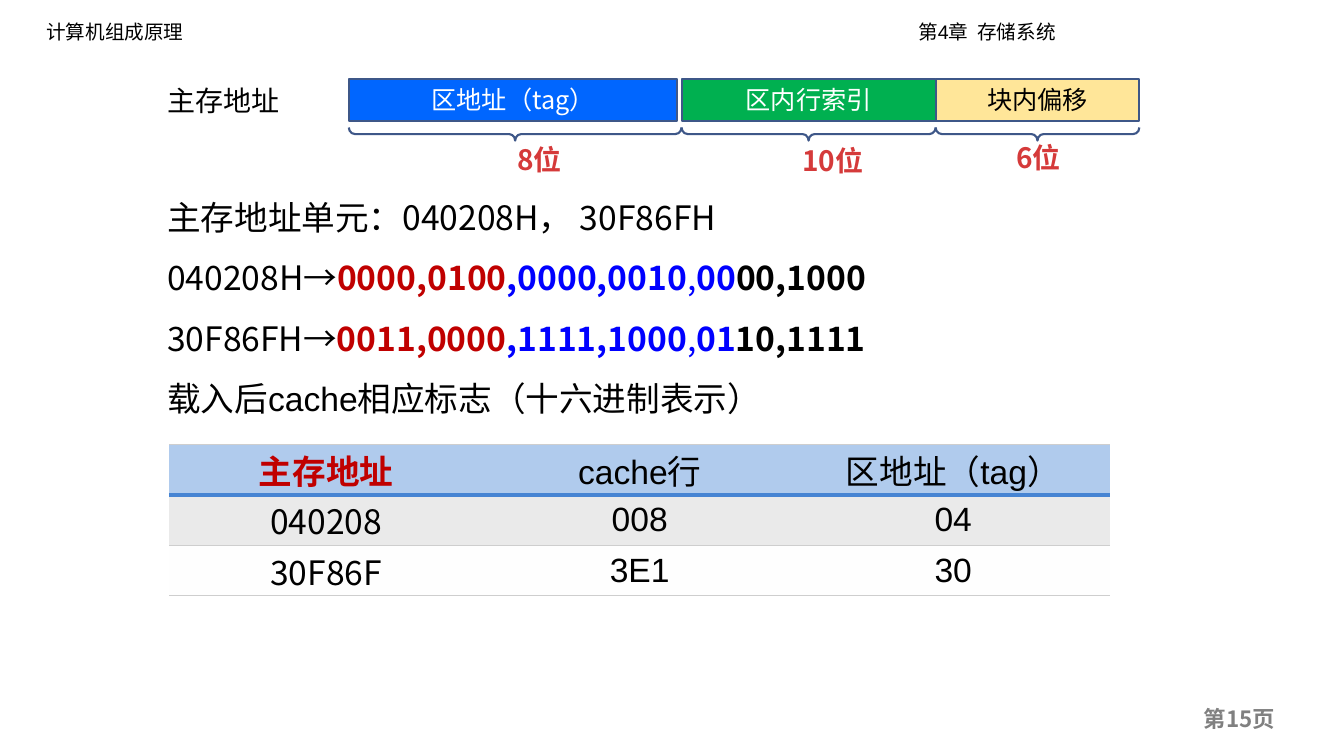
import pptx
import pptx.util
import pptx.dml.color
import pptx.enum.shapes
import pptx.enum.text
import pptx.oxml
import pptx.oxml.ns
import lxml.etree

Inches = pptx.util.Inches
Pt = pptx.util.Pt
SHAPE = pptx.enum.shapes.MSO_SHAPE
ALIGN = pptx.enum.text.PP_ALIGN
ANCHOR = pptx.enum.text.MSO_ANCHOR
qn = pptx.oxml.ns.qn

COLORS = {
    "black": "000000", "white": "FFFFFF", "gray": "808080",
    "blue": "0066FF", "green": "00B050", "cream": "FFE699",
    "outline": "3E5788", "bits": "D53A3A", "tag": "C00000", "index": "0000FF",
    "head": "B0CBED", "headline": "4684D3", "rule": "CECECE",
    "odd": "EAEAEA", "even": "FEFEFE",
}
SANS, ARIAL = "Noto Sans CJK SC", "Arial"
NO_STYLE = "{2D5ABB26-0587-4C30-8999-92F81FD0307C}"


def rgb(name):
    return pptx.dml.color.RGBColor.from_string(COLORS[name])


class SlideBuilder:
    def __init__(self, slide):
        self.s = slide
        self.base = {"name": SANS, "size": 24, "bold": False, "color": "black"}

    def run(self, p, text, **fmt):
        f = {**self.base, **fmt}
        r = p.add_run()
        r.text = text
        for key, value in {"name": f["name"], "size": Pt(f["size"]), "bold": f["bold"]}.items():
            setattr(r.font, key, value)
        r.font.color.rgb = rgb(f["color"])
        ea = lxml.etree.SubElement(r._r.get_or_add_rPr(), qn("a:ea"))
        ea.set("typeface", SANS)

    def fill_frame(self, tf, paragraphs, align=ALIGN.LEFT, anchor=ANCHOR.TOP, spacing=1.0):
        tf.word_wrap = True
        tf.vertical_anchor = anchor
        for i, runs in enumerate(paragraphs):
            p = tf.add_paragraph() if i else tf.paragraphs[0]
            p.alignment, p.line_spacing = align, spacing
            for text, fmt in runs:
                self.run(p, text, **fmt)

    def text(self, box, paragraphs, inset=True, **layout):
        sp = self.s.shapes.add_textbox(*map(Inches, box))
        if not inset:
            for side in ("left", "right", "top", "bottom"):
                setattr(sp.text_frame, "margin_" + side, 0)
        self.fill_frame(sp.text_frame, paragraphs, **layout)

    def shape(self, kind, box):
        sp = self.s.shapes.add_shape(kind, *map(Inches, box))
        sp.shadow.inherit = False
        sp.line.color.rgb = rgb("outline")
        sp.line.width = Pt(1.5)
        return sp

    def field(self, box, label, fill, color):
        sp = self.shape(SHAPE.RECTANGLE, box)
        sp.fill.solid()
        sp.fill.fore_color.rgb = rgb(fill)
        self.fill_frame(sp.text_frame, [[(label, {"size": 18, "color": color})]],
                        align=ALIGN.CENTER, anchor=ANCHOR.MIDDLE)

    def brace(self, center, middle, span, depth=0.13):
        sp = self.shape(SHAPE.LEFT_BRACE, (center - depth / 2, middle - span / 2, depth, span))
        sp.fill.background()
        sp.rotation = 270
        sp.adjustments[0] = 0.47

    def border(self, cell, side, color, width):
        ln = pptx.oxml.parse_xml(
            f'<a:{side} xmlns:a="http://schemas.openxmlformats.org/drawingml/2006/main" '
            f'w="{Pt(width)}"><a:solidFill><a:srgbClr val="{COLORS[color]}"/></a:solidFill></a:{side}>')
        tcPr = cell._tc.get_or_add_tcPr()
        tcPr.insert(len(tcPr.findall(qn("a:lnT"))), ln)

    def table(self, box, rows, fills, formats):
        frame = self.s.shapes.add_table(len(rows), len(rows[0]), *map(Inches, box))
        tbl = frame.table
        tbl.first_row = tbl.horz_banding = False
        tbl._tbl.tblPr.find(qn("a:tableStyleId")).text = NO_STYLE
        for i, row in enumerate(rows):
            for j, value in enumerate(row):
                cell = tbl.cell(i, j)
                cell.fill.solid()
                cell.fill.fore_color.rgb = rgb(fills[i])
                cell.margin_top = cell.margin_bottom = 0
                self.fill_frame(cell.text_frame, [[(value, formats(i, j))]], align=ALIGN.CENTER)
                cell.vertical_anchor = ANCHOR.MIDDLE
                bottom = ("rule", 1) if i else ("headline", 3)
                if i == 0:
                    self.border(cell, "lnT", "rule", 1)
                else:
                    self.border(cell, "lnT", *(("headline", 3) if i == 1 else ("rule", 1)))
                self.border(cell, "lnB", *bottom)


def address_line(address, tag, index, index_end, offset):
    blue = {"color": "index", "bold": True}
    return [(address + "→", {}), (tag, {"color": "tag", "bold": True}), (index, blue),
            (",", {"color": "index"}), (index_end, blue), (offset, {"bold": True})]


def cell_format(row, col):
    if (row, col) == (0, 0):
        return {"name": ARIAL, "color": "tag", "bold": True}
    return {"name": SANS if row and col == 0 else ARIAL}


def main():
    prs = pptx.Presentation()
    prs.slide_width, prs.slide_height = Inches(13.33), Inches(7.5)
    b = SlideBuilder(prs.slides.add_slide(prs.slide_layouts[6]))

    header = {"name": ARIAL, "size": 14}
    b.text((0.36, 0.15, 3, 0.4), [[("计算机组成原理", header)]])
    b.text((9.01, 0.15, 3, 0.4), [[("第4章  存储系统", header)]])
    b.text((11.84, 6.95, 1.2, 0.37), [[("第15页", {"size": 16, "bold": True, "color": "gray"})]])

    b.text((1.56, 0.78, 1.5, 0.44), [[("主存地址", {"size": 20})]])
    fields = [
        (3.46, 3.26, "区地址（tag）", "blue", "white", "8位", 5.35, 1.58),
        (6.76, 2.52, "区内行索引", "green", "white", "10位", 8.26, 1.59),
        (9.28, 2.02, "块内偏移", "cream", "black", "6位", 10.3, 1.56),
    ]
    for left, width, label, fill, color, bits, bits_x, bits_y in fields:
        b.field((left, 0.78, width, 0.42), label, fill, color)
        span = 3.3 if left == 3.46 else width
        b.brace(left + span / 2, 1.33, span)
        b.text((bits_x - 0.55, bits_y - 0.12, 1.1, 0.25),
               [[(bits, {"size": 20, "bold": True, "color": "bits"})]],
               inset=False, align=ALIGN.CENTER, anchor=ANCHOR.MIDDLE)

    b.text((1.56, 1.7, 9.95, 2.52), [
        [("主存地址单元：040208H， 30F86FH", {})],
        address_line("040208H", "0000,0100", ",0000,0010", "00", "00,1000"),
        address_line("30F86FH", "0011,0000", ",1111,1000", "01", "10,1111"),
        [("载入后cache相应标志（十六进制表示）", {"name": ARIAL})],
    ], spacing=1.5)

    b.table((1.68, 4.41, 9.33, 1.5), [
        ["主存地址", "cache行", "区地址（tag）"],
        ["040208", "008", "04"],
        ["30F86F", "3E1", "30"],
    ], ["head", "odd", "even"], cell_format)

    prs.save("out.pptx")


if __name__ == "__main__":
    main()
